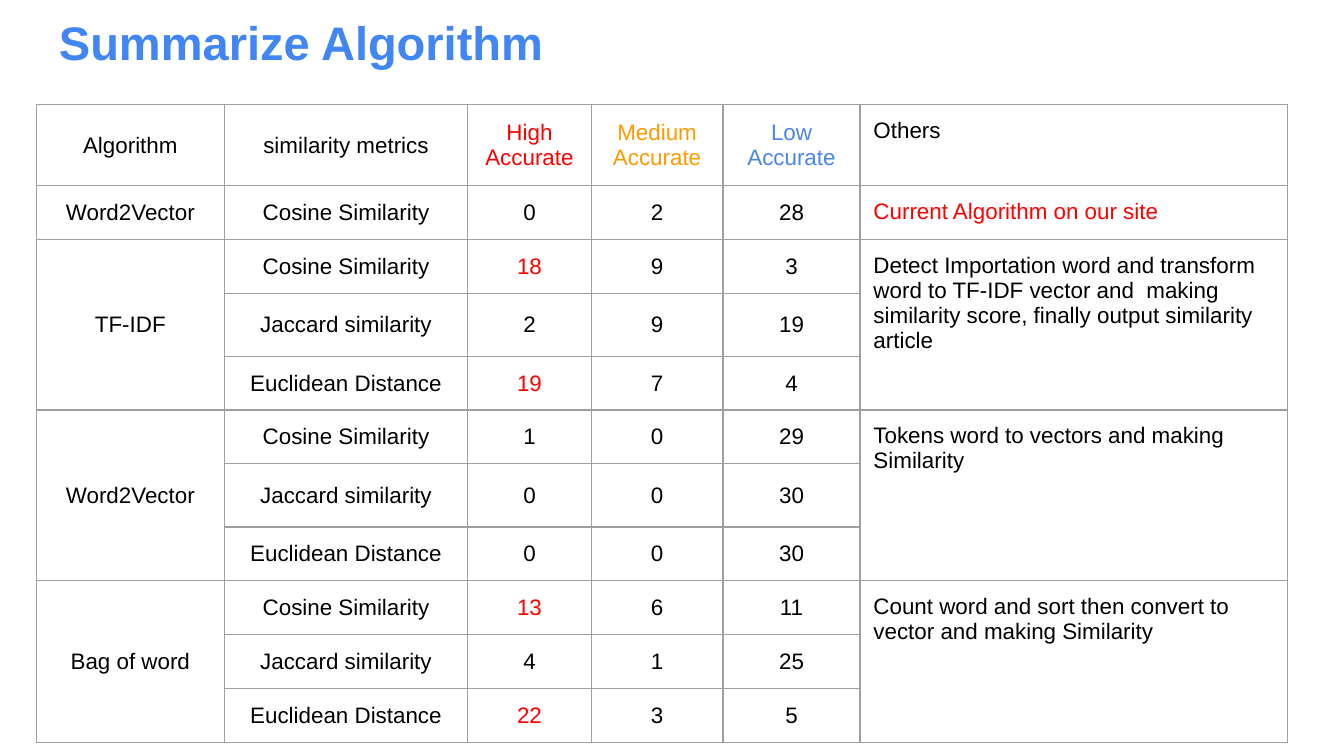
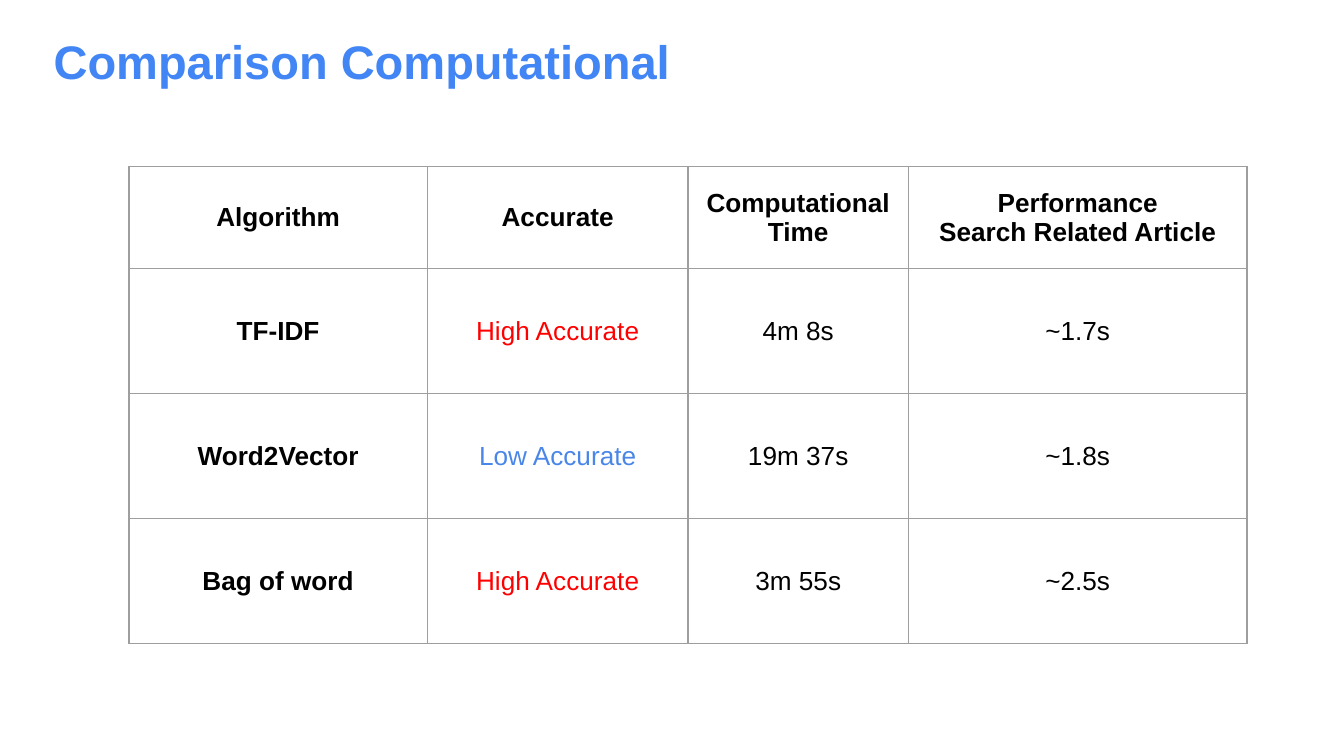
import pptx
import pptx.dml.color
import pptx.enum.text
import pptx.oxml
import pptx.oxml.ns
import pptx.util

BLUE_TITLE = pptx.dml.color.RGBColor(0x42, 0x85, 0xF4)
BLACK = pptx.dml.color.RGBColor(0x00, 0x00, 0x00)
RED = pptx.dml.color.RGBColor(0xFF, 0x00, 0x00)
ORANGE = pptx.dml.color.RGBColor(0xFF, 0x99, 0x00)
BLUE = pptx.dml.color.RGBColor(0x4A, 0x86, 0xE8)
GREY = pptx.dml.color.RGBColor(0x9E, 0x9E, 0x9E)
FIRST_WORD_COLORS = {"High": RED, "Medium": ORANGE, "Low": BLUE, "Current": RED}
FONT = "Arial"
INSET = pptx.util.Inches(0.1)
BORDER_WIDTH = pptx.util.Pt(0.75)

presentation = pptx.Presentation()
presentation.slide_width = pptx.util.Inches(10)
presentation.slide_height = pptx.util.Inches(5.625)
COLUMN = presentation.slide_width / 100
ROW = presentation.slide_height / 56.25


def add_titled_slide(title, left, top, height):
    slide = presentation.slides.add_slide(presentation.slide_layouts[6])
    box = slide.shapes.add_textbox(int(left * COLUMN), int(top * ROW), int(93.2 * COLUMN), int(height * ROW))
    frame = box.text_frame
    frame.word_wrap = True
    frame.margin_left = frame.margin_right = frame.margin_top = frame.margin_bottom = INSET
    run = frame.paragraphs[0].add_run()
    run.text = title
    run.font.name = FONT
    run.font.size = pptx.util.Pt(25.2)
    run.font.bold = True
    run.font.color.rgb = BLUE_TITLE
    return slide


def add_grid_table(slide, left, top, widths, heights, rows, size, bold_heads, notes_column=None, score_column=None):
    table = slide.shapes.add_table(
        len(heights), len(widths), int(left * COLUMN), int(top * ROW),
        int(sum(widths) * COLUMN), int(sum(heights) * ROW)).table
    table.first_row = False
    table.horz_banding = False
    for column, width in zip(table.columns, widths):
        column.width = int(width * COLUMN)
    for row, height in zip(table.rows, heights):
        row.height = int(height * ROW)
    for row_index, texts in enumerate(rows):
        for column_index, text in enumerate(texts):
            cell = table.cell(row_index, column_index)
            properties = cell._tc.get_or_add_tcPr()
            for side in ("lnL", "lnR", "lnT", "lnB"):
                properties.append(pptx.oxml.parse_xml(
                    f'<a:{side} {pptx.oxml.ns.nsdecls("a")} w="{BORDER_WIDTH}"><a:solidFill>'
                    f'<a:srgbClr val="{GREY}"/></a:solidFill></a:{side}>'))
            cell.fill.background()
            cell.margin_left = cell.margin_right = cell.margin_top = cell.margin_bottom = INSET
            is_note = column_index == notes_column
            cell.vertical_anchor = (
                pptx.enum.text.MSO_ANCHOR.TOP if is_note else pptx.enum.text.MSO_ANCHOR.MIDDLE)
            if text is None:
                continue
            high_score = column_index == score_column and text.isdigit() and int(text) > 10
            color = RED if high_score else FIRST_WORD_COLORS.get(text.split()[0], BLACK)
            for line_index, line in enumerate(text.split("\n")):
                frame = cell.text_frame
                paragraph = frame.add_paragraph() if line_index else frame.paragraphs[0]
                paragraph.alignment = (
                    pptx.enum.text.PP_ALIGN.LEFT if is_note else pptx.enum.text.PP_ALIGN.CENTER)
                run = paragraph.add_run()
                run.text = line
                run.font.name = FONT
                run.font.size = pptx.util.Pt(size)
                run.font.bold = bold_heads and 0 in (row_index, column_index)
                run.font.color.rgb = color
    return table


METRICS = ("Cosine Similarity", "Jaccard similarity", "Euclidean Distance")
algorithms = [
    ("TF-IDF", [("18", "9", "3"), ("2", "9", "19"), ("19", "7", "4")],
     "Detect Importation word and transform word to TF-IDF vector and  making "
     "similarity score, finally output similarity article"),
    ("Word2Vector", [("1", "0", "29"), ("0", "0", "30"), ("0", "0", "30")],
     "Tokens word to vectors and making Similarity"),
    ("Bag of word", [("13", "6", "11"), ("4", "1", "25"), ("22", "3", "5")],
     "Count word and sort then convert to vector and making Similarity"),
]
summary_rows = [
    ("Algorithm", "similarity metrics", "High Accurate", "Medium Accurate", "Low Accurate", "Others"),
    ("Word2Vector", METRICS[0], "0", "2", "28", "Current Algorithm on our site"),
]
for algorithm, scores, note in algorithms:
    for index, (metric, counts) in enumerate(zip(METRICS, scores)):
        summary_rows.append((None if index else algorithm, metric, *counts, None if index else note))

summary_slide = add_titled_slide("Summarize Algorithm", 3.4, 0, 4.4)
summary_table = add_grid_table(
    summary_slide, 2.7, 7.8, [14, 18.1, 9.2, 9.8, 10.2, 31.8],
    [5.6, 3.9] + [3.7, 4.7, 3.7] * 2 + [3.7] * 3,
    summary_rows, 12, False, notes_column=5, score_column=2)
for first_row in range(2, len(summary_rows), len(METRICS)):
    for column_index in (0, 5):
        last_cell = summary_table.cell(first_row + len(METRICS) - 1, column_index)
        summary_table.cell(first_row, column_index).merge(last_cell)

comparison_rows = [
    ("Algorithm", "Accurate", "Computational Time", "Performance\nSearch Related Article"),
    ("TF-IDF", "High Accurate", "4m 8s", "~1.7s"),
    ("Word2Vector", "Low Accurate", "19m 37s", "~1.8s"),
    ("Bag of word", "High Accurate", "3m 55s", "~2.5s"),
]
comparison_slide = add_titled_slide("Comparison Computational", 3, 1.4, 6.3)
add_grid_table(
    comparison_slide, 9.6, 12.4, [22.2, 19.4, 16.4, 25.2], [7.6] + [9.3] * 3,
    comparison_rows, 14, True)

presentation.save("out.pptx")
